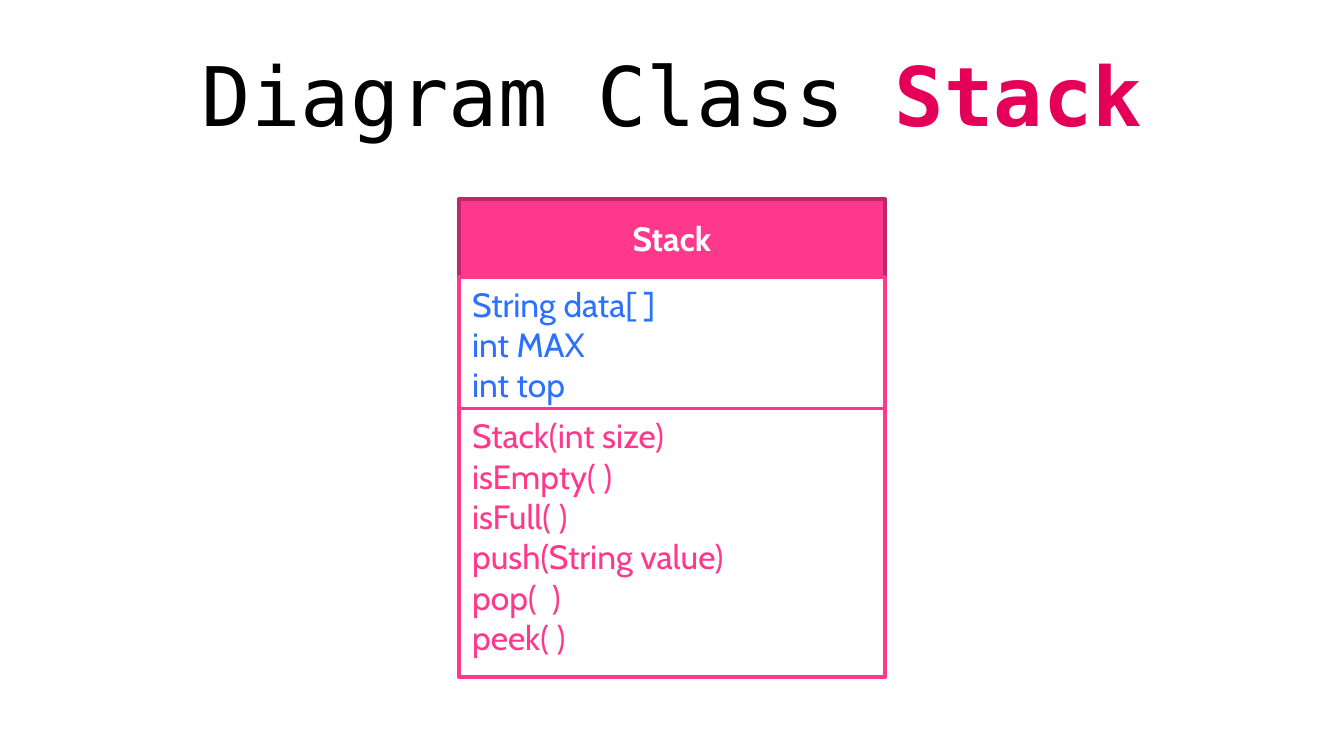
from pptx import Presentation
from pptx.dml.color import RGBColor
from pptx.enum import shapes, text
from pptx.util import Inches, Pt

PINK = "FF388C"
WHITE = "FFFFFF"
SLIDE_W = 10


def color(fmt, value):
    fmt.rgb = RGBColor.from_string(value)


def add_title(s, x, y, w, h):
    sp = s.shapes.title
    sp.left, sp.top, sp.width, sp.height = map(Inches, (x, y, w, h))
    tf = sp.text_frame
    tf.vertical_anchor = text.MSO_ANCHOR.MIDDLE
    p = tf.paragraphs[0]
    p.alignment = text.PP_ALIGN.CENTER
    p.font.size = Pt(44)
    p.font.name = "DejaVu Sans Mono"
    for word, value, bold in (("Diagram Class ", "000000", False), ("Stack", "E40059", True)):
        r = p.add_run()
        r.text = word
        r.font.bold = bold
        color(r.font.color, value)


def add_compartment(group, x, y, w, h, lines, fill, line, ink, header=False):
    sp = group.shapes.add_shape(shapes.MSO_SHAPE.RECTANGLE, *map(Inches, (x, y, w, h)))
    sp.shadow.inherit = False
    sp.fill.solid()
    color(sp.fill.fore_color, fill)
    color(sp.line.color, line)
    sp.line.width = Pt(2)
    tf = sp.text_frame
    tf.word_wrap = True
    tf.vertical_anchor = text.MSO_ANCHOR.MIDDLE if header else text.MSO_ANCHOR.TOP
    tf.text = "\n".join(lines)
    for p in tf.paragraphs:
        p.alignment = text.PP_ALIGN.CENTER if header else text.PP_ALIGN.LEFT
        p.font.size = Pt(18)
        p.font.name = "Cabin"
        p.font.bold = header
        color(p.font.color, ink)


def add_class_box(s, x, y, w):
    group = s.shapes.add_group_shape()
    fields = ["String data[ ]", "int MAX", "int top"]
    methods = ["Stack(int size)", "isEmpty( )", "isFull( )",
               "push(String value)", "pop(  )", "peek( )"]
    add_compartment(group, x, y, w, 0.58, ["Stack"], PINK, "BD2968", WHITE, header=True)
    add_compartment(group, x, y + 0.58, w, 0.98, fields, WHITE, PINK, "2C71FF")
    add_compartment(group, x, y + 1.56, w, 2, methods, WHITE, PINK, PINK)


prs = Presentation()
prs.slide_width = Inches(SLIDE_W)
prs.slide_height = Inches(SLIDE_W * 9 / 16)
s = prs.slides.add_slide(prs.slide_layouts[5])
add_title(s, 0.5, 0.23, 9, 0.94)
box_w = 3.17
add_class_box(s, (SLIDE_W - box_w) / 2, 1.48, box_w)
prs.save("out.pptx")
